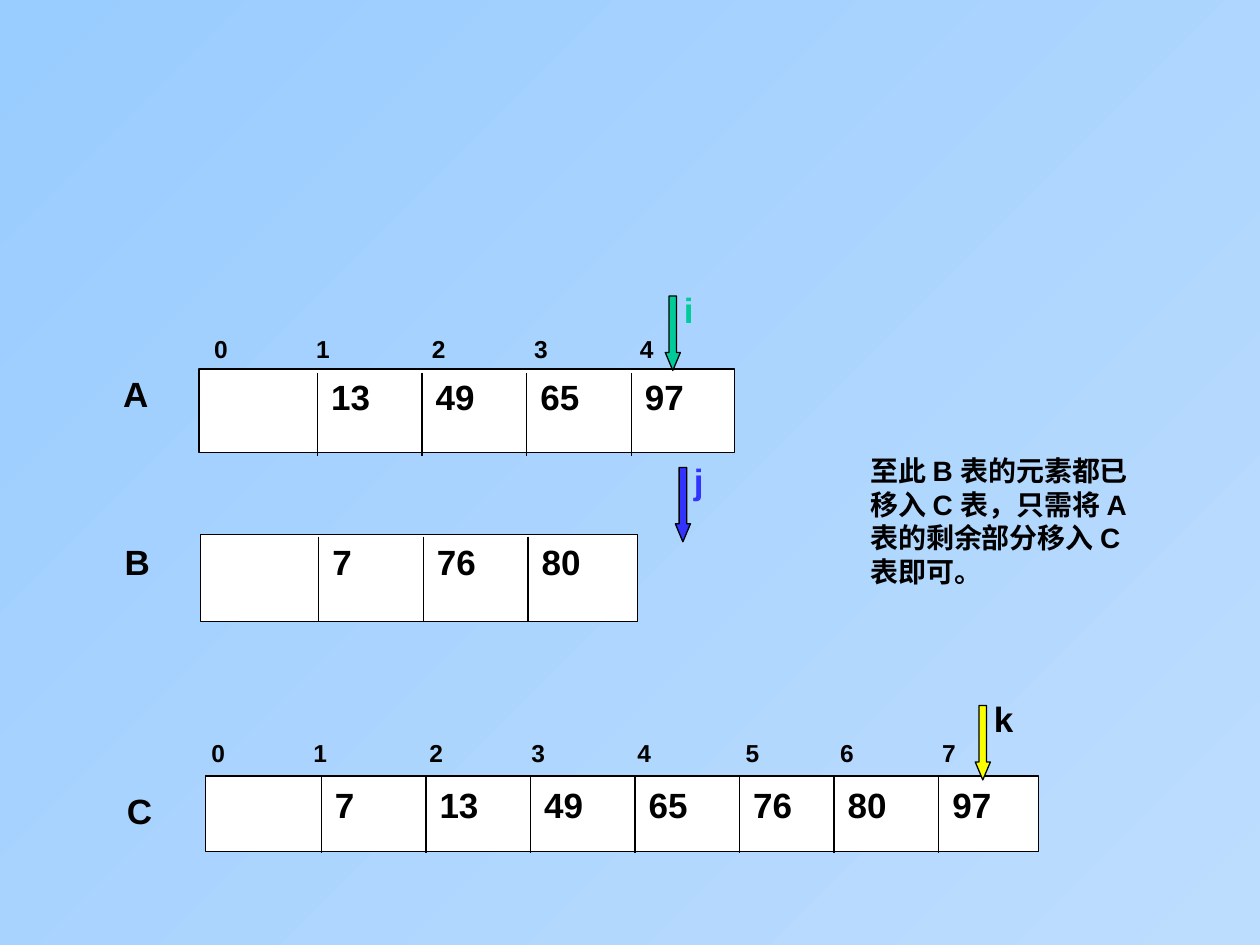
from itertools import accumulate

from lxml.etree import SubElement
from pptx import Presentation
from pptx.dml.color import RGBColor
from pptx.enum.shapes import MSO_CONNECTOR, MSO_SHAPE
from pptx.enum.text import MSO_AUTO_SIZE
from pptx.oxml.ns import qn
from pptx.util import Inches, Pt

BLACK = RGBColor(0x00, 0x00, 0x00)
WHITE = RGBColor(0xFF, 0xFF, 0xFF)
GREEN = RGBColor(0x00, 0xCC, 0x99)
BLUE = RGBColor(0x33, 0x33, 0xFF)
YELLOW = RGBColor(0xFA, 0xFD, 0x00)
SKY_LIGHT = RGBColor(0xBD, 0xDD, 0xFE)
SKY_DEEP = RGBColor(0x99, 0xCC, 0xFF)

GRID_COLUMNS, GRID_ROWS = 100, 75
CELL = Inches(10) // GRID_COLUMNS

VALUE_FORMAT = {"name": "Arial", "size": Pt(20), "bold": True}
INDEX_FORMAT = {"name": "Arial", "size": Pt(14), "bold": True}
REMARK_FORMAT = {"name": "Arial", "size": Pt(16), "bold": True}

DIVIDERS = list(accumulate([0, 8.3, 8.3, 8.3, 8.3, 7.5, 8.3]))
INDEX_STOPS = [8.1, 17.3, 25.4, 33.8, 42.4, 49.9, 58]

LISTS = [
    {"name": "A", "name_at": (8.8, 29.1), "frame": (15.8, 29.3, 42.5, 6.6),
     "first_divider": 25.2, "divider_rows": (29.6, 36.2),
     "values": ["13", "49", "65", "97"], "value_row": 29.3},
    {"name": "B", "name_at": (8.9, 42.4), "frame": (15.9, 42.4, 34.7, 6.9),
     "first_divider": 25.3, "divider_rows": (42.6, 49.3),
     "values": ["7", "76", "80"], "value_row": 42.4},
    {"name": "C", "name_at": (9.1, 62.2), "frame": (16.3, 61.6, 66.1, 6),
     "first_divider": 25.5, "divider_rows": (61.6, 67.7),
     "values": ["7", "13", "49", "65", "76", "80", "97"], "value_row": 61.7},
]
REMARK = "至此 B 表的元素都已移入 C 表，只需将 A 表的剩余部分移入 C 表即可。"


def cells(*counts):
    return [round(count * CELL) for count in counts]


def paint_background(slide):
    fill = slide.background.fill
    fill.gradient()
    fill.gradient_angle = 135
    for stop, color in zip(fill.gradient_stops, (SKY_LIGHT, SKY_DEEP)):
        stop.color.rgb = color


def add_text(shapes, area, text, font_format, color=BLACK, stops=()):
    box = shapes.add_textbox(*cells(*area))
    frame = box.text_frame
    frame.word_wrap = True
    frame.auto_size = MSO_AUTO_SIZE.SHAPE_TO_FIT_TEXT
    paragraph = frame.paragraphs[0]
    paragraph.text = text
    if stops:
        tab_list = SubElement(paragraph._p.get_or_add_pPr(), qn("a:tabLst"))
        for position in cells(*stops):
            SubElement(tab_list, qn("a:tab"), pos=str(position), algn="l")
    font = paragraph.runs[0].font
    for attribute, setting in font_format.items():
        setattr(font, attribute, setting)
    font.color.rgb = color


def add_outlined(shapes, preset, area, color):
    shape = shapes.add_shape(preset, *cells(*area))
    shape.shadow.inherit = False
    shape.fill.solid()
    shape.fill.fore_color.rgb = color
    shape.line.color.rgb = BLACK
    shape.line.width = Pt(0.75)
    return shape


def add_divider(shapes, column, rows):
    top, bottom = rows
    divider = shapes.add_connector(
        MSO_CONNECTOR.STRAIGHT, *cells(column, top, column, bottom))
    divider.line.color.rgb = BLACK
    divider.line.width = Pt(0.75)
    SubElement(divider._element.spPr, qn("a:effectLst"))


def add_list(shapes, content):
    add_text(shapes, (*content["name_at"], 6.7, 4.4), content["name"], VALUE_FORMAT)
    add_outlined(shapes, MSO_SHAPE.RECTANGLE, content["frame"], WHITE)
    for value, offset in zip(content["values"], DIVIDERS):
        column = content["first_divider"] + offset
        add_divider(shapes, column, content["divider_rows"])
        add_text(shapes, (column + 0.1, content["value_row"], 6.7, 4.4),
                 value, VALUE_FORMAT)


def add_indexes(shapes, area, count):
    add_text(shapes, area, "\t".join(map(str, range(count))),
             INDEX_FORMAT, stops=INDEX_STOPS[:count - 1])


def add_pointer(shapes, name, column, row, arrow_color, name_color):
    pointer = shapes.add_group_shape()
    arrow = add_outlined(pointer.shapes, MSO_SHAPE.DOWN_ARROW,
                         (column, row, 1.2, 5.9), arrow_color)
    arrow.adjustments[0] = 0.5
    arrow.adjustments[1] = 1.19
    add_text(pointer.shapes, (column + 0.5, row - 1.1, 5.3, 4.4),
             name, VALUE_FORMAT, name_color)


def main():
    presentation = Presentation()
    presentation.slide_width = CELL * GRID_COLUMNS
    presentation.slide_height = CELL * GRID_ROWS
    slide = presentation.slides.add_slide(presentation.slide_layouts[6])
    shapes = slide.shapes
    paint_background(slide)
    for content in LISTS:
        add_list(shapes, content)
    add_indexes(shapes, (16, 26, 42.5, 3.4), 5)
    add_indexes(shapes, (15.8, 58.1, 66.6, 3.4), 8)
    add_pointer(shapes, "i", 52.8, 23.5, GREEN, GREEN)
    add_pointer(shapes, "j", 53.6, 37.1, BLUE, BLUE)
    add_pointer(shapes, "k", 77.4, 56, YELLOW, BLACK)
    add_text(shapes, (68.1, 35.5, 24.3, 11.7), REMARK, REMARK_FORMAT)
    presentation.save("out.pptx")


if __name__ == "__main__":
    main()
